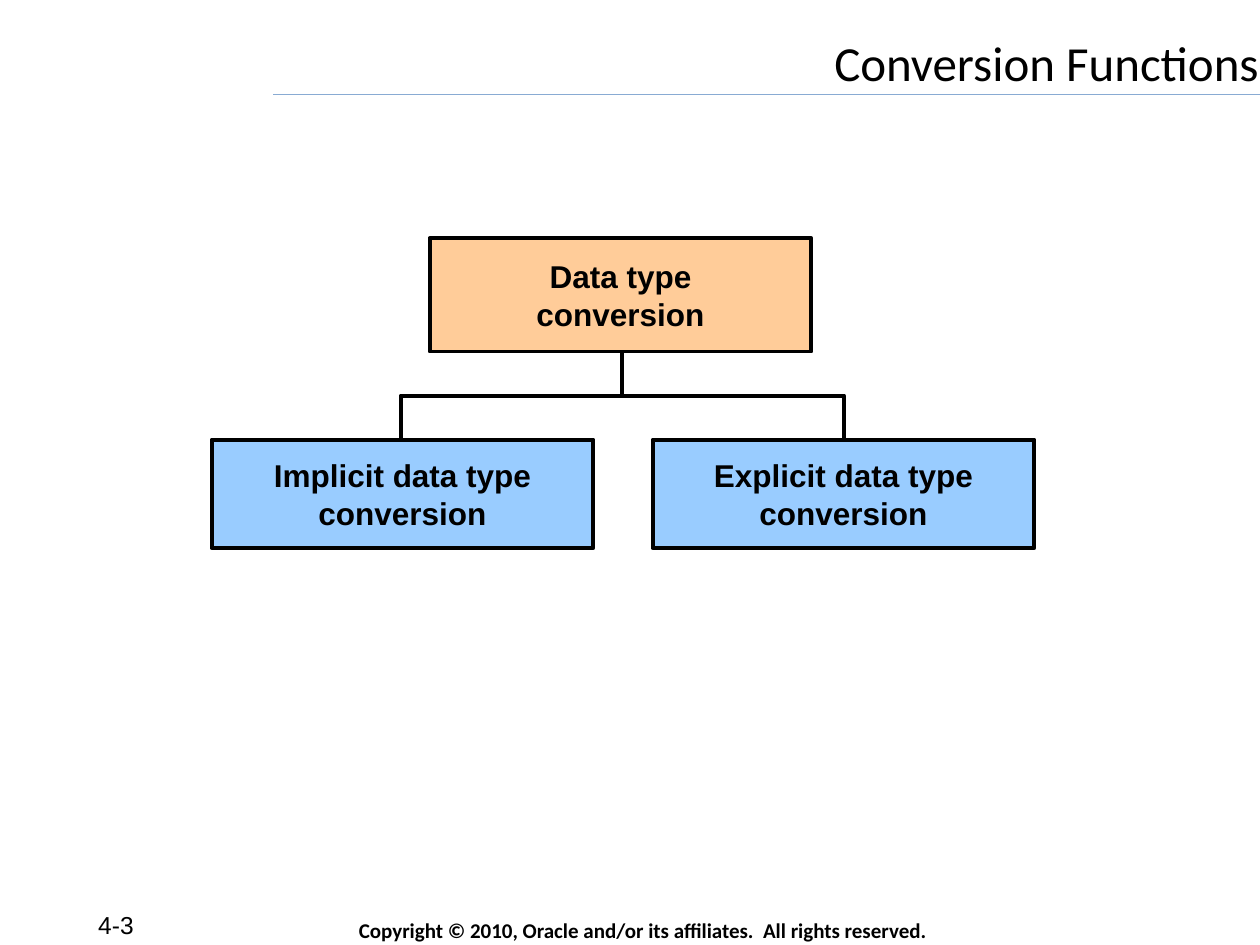
from pptx import Presentation
from pptx.dml.color import RGBColor
from pptx.enum.shapes import MSO_CONNECTOR, MSO_SHAPE
from pptx.enum.text import MSO_ANCHOR, PP_ALIGN
from pptx.oxml.ns import qn
from pptx.util import Inches, Pt

RECT = MSO_SHAPE.RECTANGLE
LINE = MSO_CONNECTOR.STRAIGHT
TOP, MIDDLE = MSO_ANCHOR.TOP, MSO_ANCHOR.MIDDLE
LEFT, CENTER, RIGHT = PP_ALIGN.LEFT, PP_ALIGN.CENTER, PP_ALIGN.RIGHT
BLACK = "000000"

TITLE = "Conversion Functions"
PAGE = "4-3"
RIGHTS = "Copyright © 2010, Oracle and/or its affiliates.  All rights reserved."
BOXES = [
    (["Implicit data type", "conversion"], 1.68, 3.49, 0.86, "99CCFF"),
    (["Explicit data type", "conversion"], 5.18, 3.49, 0.86, "99CCFF"),
    (["Data type", "conversion"], 3.41, 1.89, 0.9, "FFCC99"),
]
WIDE = 3.03
STEM = (4.94, 3.14, 4.94, 2.49)
FORK = [(3.18, 3.76), (3.18, 3.14), (6.7, 3.14), (6.7, 3.66)]
RULE = (2.17, 0.75, 10, 0.75)


def color(code):
    return RGBColor.from_string(code)


def stroke(item, code, width):
    item.line.color.rgb = color(code)
    item.line.width = Pt(width)


def write(shape, lines, size, font, align, bold=False, anchor=TOP, wrap=False):
    frame = shape.text_frame
    frame.text = "\n".join(lines)
    frame.word_wrap = wrap
    frame.vertical_anchor = anchor
    for para in frame.paragraphs:
        para.alignment = align
        para.font.size = Pt(size)
        para.font.name = font
        para.font.bold = bold
        para.font.color.rgb = color(BLACK)
    return frame


def panel(shapes, place, fill):
    shape = shapes.add_shape(RECT, *map(Inches, place))
    shape.shadow.inherit = False
    shape.fill.solid()
    shape.fill.fore_color.rgb = color(fill)
    return shape


def join(shapes, ends, code, width):
    line = shapes.add_connector(LINE, *map(Inches, ends))
    props = line._element.spPr
    stroke(line, code, width)
    props.append(props.makeelement(qn("a:effectLst"), {}))


def main():
    deck = Presentation()
    deck.slide_width, deck.slide_height = Inches(10), Inches(7.5)
    shapes = deck.slides.add_slide(deck.slide_layouts[6]).shapes

    foot = shapes.add_textbox(*map(Inches, (2.75, 7.28, 4.9, 0.21)))
    write(foot, [RIGHTS], 12, "Calibri", LEFT, bold=True, anchor=MIDDLE)
    page = shapes.add_textbox(*map(Inches, (0, 7.17, 1.16, 0.33)))
    write(page, [PAGE], 14, "Arial", RIGHT, wrap=True)

    join(shapes, RULE, "4A7EBB", 0.75)
    head = panel(shapes, (1.5, 0.25, 8.5, 0.5), "FFFFFF")
    head.line.fill.background()
    frame = write(head, [TITLE], 28, "Calibri", RIGHT, wrap=True)
    frame.margin_left = frame.margin_right = Inches(0.01)
    frame.margin_top = frame.margin_bottom = Inches(0.01)

    join(shapes, STEM, BLACK, 2.25)
    start, *rest = [(Inches(x), Inches(y)) for x, y in FORK]
    path = shapes.build_freeform(*start)
    path.add_line_segments(rest, close=False)
    fork = path.convert_to_shape()
    fork.shadow.inherit = False
    fork.fill.background()
    stroke(fork, BLACK, 2.25)

    for lines, x, y, high, fill in BOXES:
        box = panel(shapes, (x, y, WIDE, high), fill)
        stroke(box, BLACK, 2.25)
        write(box, lines, 18, "Arial", CENTER, bold=True, anchor=MIDDLE)

    deck.save("out.pptx")


if __name__ == "__main__":
    main()
